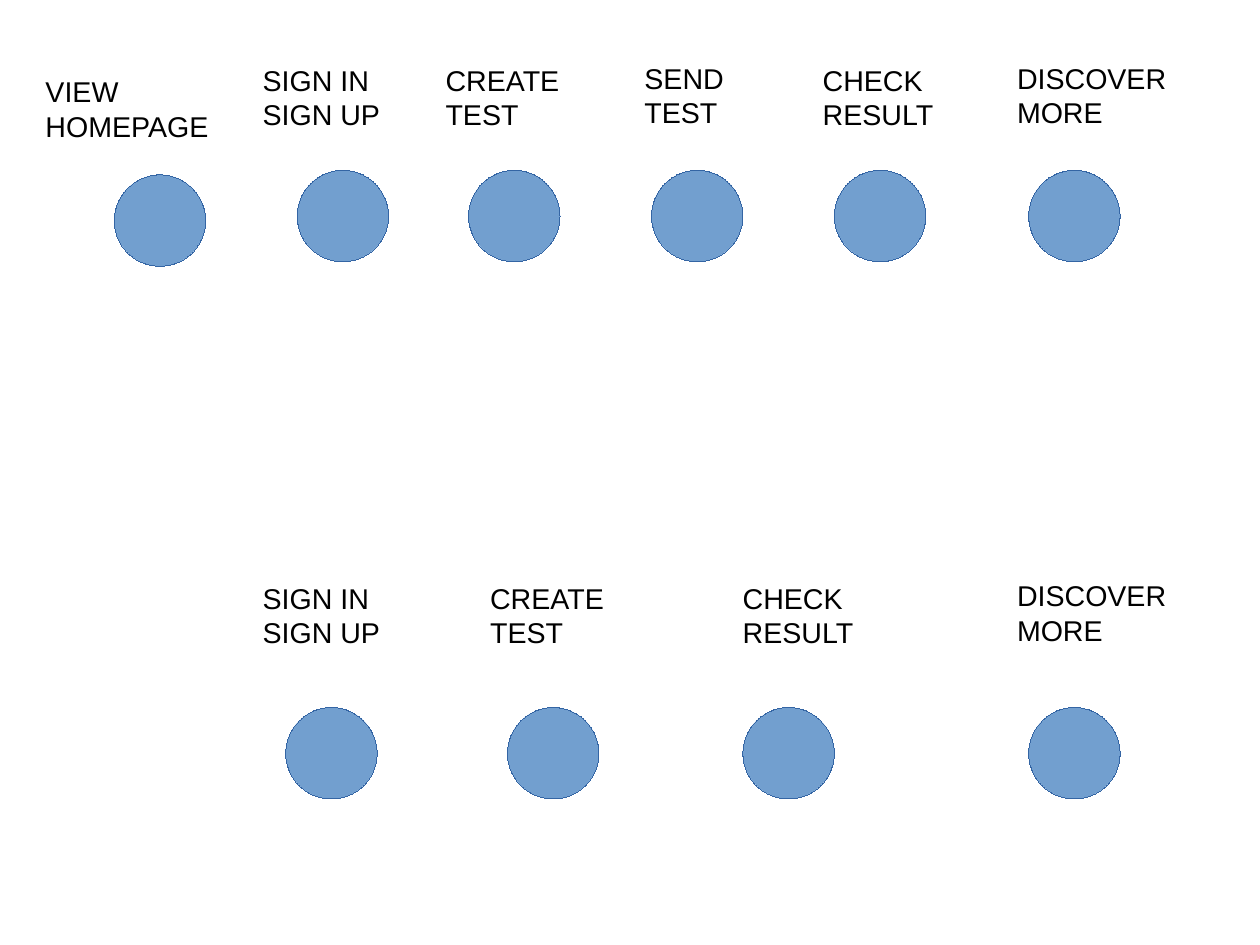
from pptx import Presentation, util as u
from pptx.dml.color import RGBColor
from pptx.enum import shapes, text
from pptx.oxml import ns


def color(hex_string):
    return RGBColor.from_string(hex_string)


presentation = Presentation()
presentation.slide_width = u.Cm(28)
presentation.slide_height = u.Cm(21)
slide = presentation.slides.add_slide(presentation.slide_layouts[6])

DIAMETER = 0.8
LABEL_HEIGHT = 0.66
LABEL_WIDTHS = {
    "VIEW\nHOMEPAGE": 1.7,
    "SIGN IN\nSIGN UP": 1.5,
    "CREATE\nTEST": 1.4,
    "SEND \vTEST": 1.1,
    "CHECK\nRESULT": 1.2,
    "DISCOVER\nMORE": 1.6,
}

# Each step: label, label left, label top, circle left, circle top (inches)
first_journey = [
    ("VIEW\nHOMEPAGE", 0.3, 0.6, 1.0, 1.53),
    ("SIGN IN\nSIGN UP", 2.2, 0.5, 2.6, 1.49),
    ("CREATE\nTEST", 3.8, 0.5, 4.1, 1.49),
    ("SEND \vTEST", 5.54, 0.48, 5.7, 1.49),
    ("CHECK\nRESULT", 7.1, 0.5, 7.3, 1.49),
    ("DISCOVER\nMORE", 8.8, 0.48, 9.0, 1.49),
]
returning_journey = [
    ("SIGN IN\nSIGN UP", 2.2, 5.03, 2.5, 6.19),
    ("CREATE\nTEST", 4.19, 5.03, 4.44, 6.19),
    ("CHECK\nRESULT", 6.4, 5.03, 6.5, 6.19),
    ("DISCOVER\nMORE", 8.8, 5.01, 9.0, 6.19),
]
steps = first_journey + returning_journey

for _, _, _, left, top in steps:
    circle = slide.shapes.add_shape(
        shapes.MSO_SHAPE.OVAL, u.Inches(left), u.Inches(top),
        u.Inches(DIAMETER), u.Inches(DIAMETER))
    circle.shadow.inherit = False
    circle.fill.solid()
    circle.fill.fore_color.rgb = color("729FCF")
    circle.line.color.rgb = color("3465A4")
    # A hairline needs an explicit zero; line.width would drop it
    circle.element.spPr.find(ns.qn("a:ln")).set("w", "0")

for label, left, top, _, _ in steps:
    text_box = slide.shapes.add_textbox(
        u.Inches(left), u.Inches(top),
        u.Inches(LABEL_WIDTHS[label]), u.Inches(LABEL_HEIGHT))
    text_frame = text_box.text_frame
    text_frame.word_wrap = True
    text_frame.auto_size = text.MSO_AUTO_SIZE.SHAPE_TO_FIT_TEXT
    text_frame.text = label
    for paragraph in text_frame.paragraphs:
        for run in paragraph.runs:
            run.font.name = "Arial"
            run.font.size = u.Pt(18)
            run.font.color.rgb = color("000000")

presentation.save("out.pptx")
